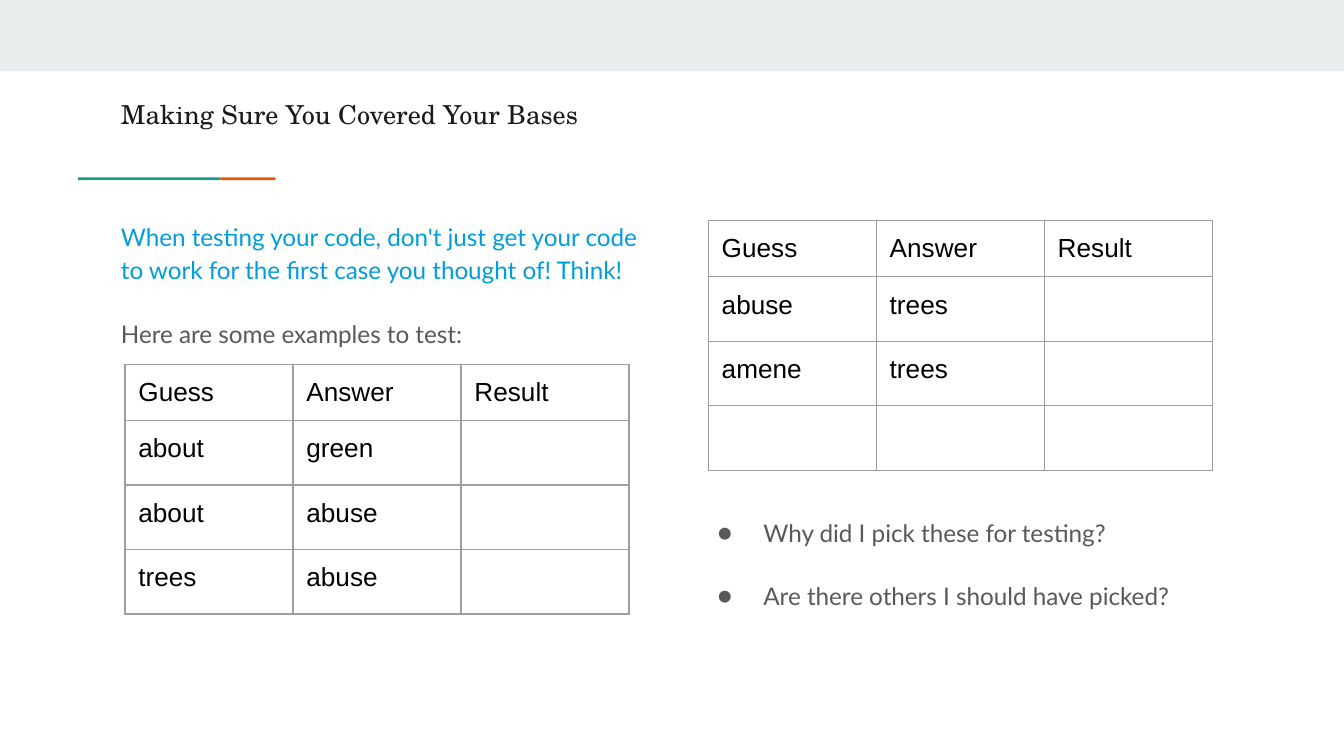
from lxml.etree import SubElement
from pptx import Presentation
from pptx.dml.color import RGBColor
from pptx.enum.shapes import MSO_SHAPE
from pptx.enum.text import MSO_ANCHOR, MSO_AUTO_SIZE, PP_ALIGN
from pptx.oxml.ns import qn
from pptx.util import Inches, Pt

WIDTH = 10
HEIGHT = WIDTH * 9 / 16
GRAY, BLUE = "595959", "009DDC"
TITLE = "Making Sure You Covered Your Bases"
INTRO = [
    ("When testing your code, don't just get your code to work "
     "for the first case you thought of! Think!", BLUE),
    ("Here are some examples to test:", GRAY),
]
QUESTIONS = [
    ("Why did I pick these for testing?", GRAY),
    ("Are there others I should have picked?", GRAY),
]
HEADER = ("Guess", "Answer", "Result")
TABLES = [  # left, top, rows
    (0.93, 2.71, [HEADER, ("about", "green", ""), ("about", "abuse", ""),
                  ("trees", "abuse", "")]),
    (5.27, 1.64, [HEADER, ("abuse", "trees", ""), ("amene", "trees", ""),
                  ("", "", "")]),
]
BARS = [  # left, top, width, height, colour
    (0, 0, WIDTH, 0.53, "E9EDEE"),
    (0.58, 1.32, 1.06, 0.02, "1A9988"),
    (1.64, 1.32, 0.41, 0.02, "EB5600"),
]
COLUMN_WIDTH, HEADER_HEIGHT, ROW_HEIGHT = 1.25, 0.42, 0.48
MARGINS = ("margin_left", "margin_top", "margin_right", "margin_bottom")


def color(value):
    return RGBColor.from_string(value)


def add_span(para, text, font, size, value):
    span = para.add_run()
    span.text = text
    for name, setting in {"name": font, "size": Pt(size), "bold": False}.items():
        setattr(span.font, name, setting)
    span.font.color.rgb = color(value)


def place(box, left, top, width, height):
    """Move a placeholder and give it a plain, top-anchored text frame."""
    box.left, box.top, box.width, box.height = map(Inches, (left, top, width, height))
    frame = box.text_frame
    settings = {"word_wrap": True, "auto_size": MSO_AUTO_SIZE.NONE,
                "vertical_anchor": MSO_ANCHOR.TOP, **dict.fromkeys(MARGINS, Inches(0.1))}
    for name, setting in settings.items():
        setattr(frame, name, setting)
    return frame


def set_bullet(para, bulleted):
    properties = para._p.get_or_add_pPr()
    properties.set("marL", str(Inches(0.5 if bulleted else 0)))
    properties.set("indent", str(Inches(-0.34 if bulleted else 0)))
    if bulleted:
        bullet_color = SubElement(properties, qn("a:buClr"))
        SubElement(bullet_color, qn("a:srgbClr"), val=GRAY)
        SubElement(properties, qn("a:buSzPts"), val="1300")
        SubElement(properties, qn("a:buFont"), typeface="Lato")
        SubElement(properties, qn("a:buChar"), char="●")
    else:
        SubElement(properties, qn("a:buNone"))


def fill_body(frame, items, bulleted=False):
    for index, (text, value) in enumerate(items):
        para = frame.add_paragraph() if index else frame.paragraphs[0]
        para.alignment = PP_ALIGN.LEFT
        para.line_spacing = 1.15
        para.space_before = Pt(16 if index else 0)
        set_bullet(para, bulleted)
        add_span(para, text, "Lato", 13, value)


def set_borders(cell):
    properties = cell._tc.get_or_add_tcPr()
    for position, side in enumerate(("lnL", "lnR", "lnT", "lnB")):
        line = SubElement(properties, qn(f"a:{side}"), w=str(Pt(0.75)))
        fill = SubElement(line, qn("a:solidFill"))
        SubElement(fill, qn("a:srgbClr"), val="9E9E9E")
        properties.insert(position, line)


def add_guess_table(page, left, top, rows):
    heights = [HEADER_HEIGHT] + [ROW_HEIGHT] * (len(rows) - 1)
    size = (COLUMN_WIDTH * len(HEADER), sum(heights))
    table = page.shapes.add_table(len(rows), len(HEADER),
                                  *map(Inches, (left, top, *size))).table
    table.first_row = table.horz_banding = False
    for column in table.columns:
        column.width = Inches(COLUMN_WIDTH)
    for row, height, texts in zip(table.rows, heights, rows):
        row.height = Inches(height)
        for cell, text in zip(row.cells, texts):
            for margin in MARGINS:
                setattr(cell, margin, Inches(0.1))
            cell.fill.background()
            set_borders(cell)
            para = cell.text_frame.paragraphs[0]
            if text:
                add_span(para, text, "Arial", 14, "000000")
            else:  # keeps an empty cell from stretching its row
                SubElement(para._p, qn("a:endParaRPr"), sz="1400")


deck = Presentation()
deck.slide_width, deck.slide_height = Inches(WIDTH), Inches(HEIGHT)
page = deck.slides.add_slide(deck.slide_layouts.get_by_name("Two Content"))
title, intro, questions = page.placeholders

for left, top, width, height, value in BARS:
    bar = page.shapes.add_shape(MSO_SHAPE.RECTANGLE,
                                *map(Inches, (left, top, width, height)))
    bar.shadow.inherit = False
    bar.fill.solid()
    bar.fill.fore_color.rgb = color(value)
    bar.line.fill.background()

heading = place(title, 0.8, 0.63, 8.41, 0.59).paragraphs[0]
heading.alignment = PP_ALIGN.LEFT
add_span(heading, TITLE, "TeX Gyre Schola", 14, "1A1A1A")
fill_body(place(intro, 0.8, 1.52, 4.13, 3.22), INTRO)
fill_body(place(questions, 5.08, 3.72, 4.13, 1.02), QUESTIONS, bulleted=True)

for left, top, rows in TABLES:
    add_guess_table(page, left, top, rows)

deck.save("out.pptx")
